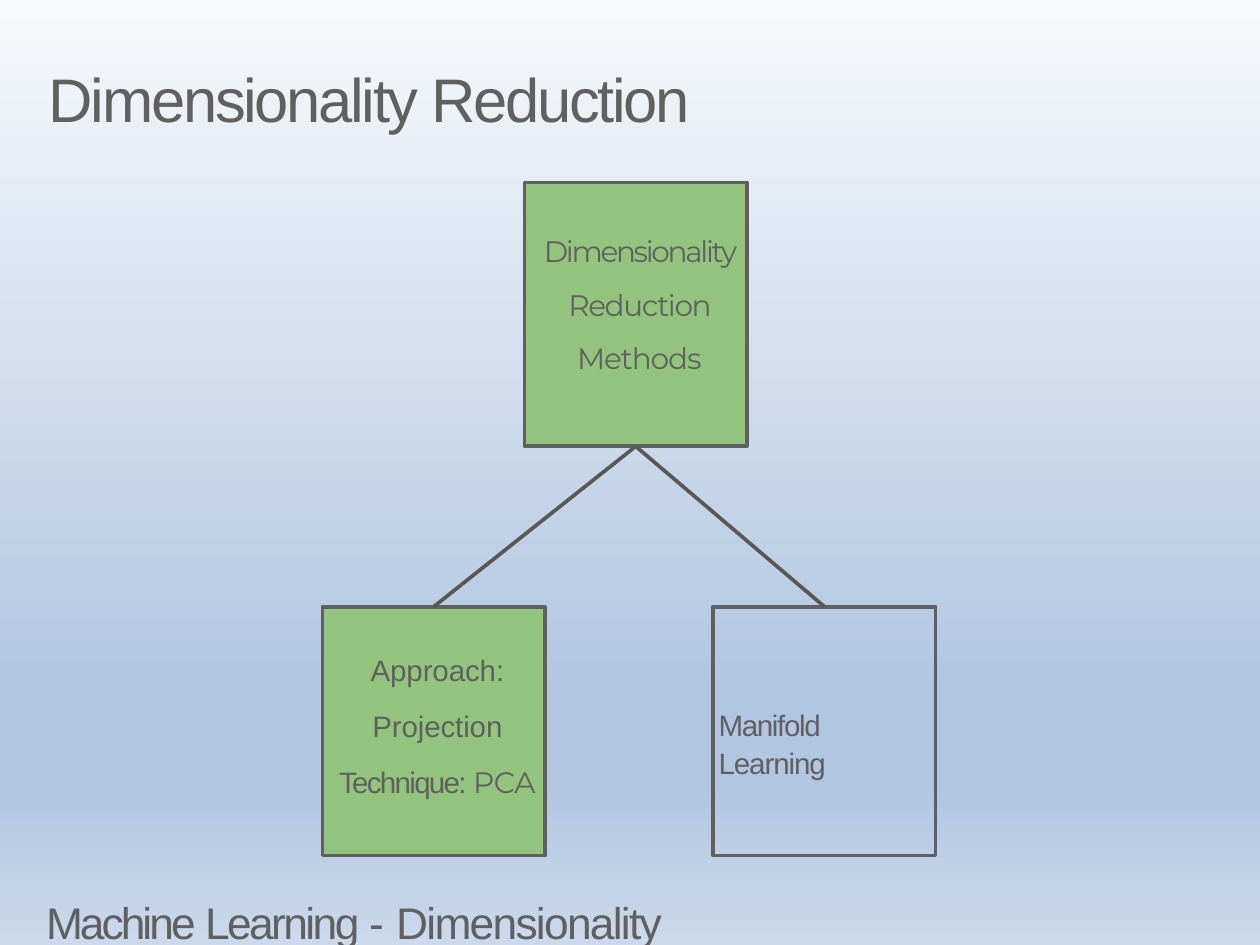
import copy

import lxml.etree
import pptx
import pptx.dml.color
import pptx.enum.shapes
import pptx.enum.text
import pptx.oxml.ns
import pptx.util

PX = 9144
COLORS = {"text": "606060", "node": "93C47D", "link": "5B5854"}
BACKGROUND_STOPS = [(0, "F6F9FC"), (0.74, "B0C6E1"), (0.83, "B0C6E1"), (1, "CAD9EB")]
ALIGN = pptx.enum.text.PP_ALIGN
NODE_WIDTH = 251


def rgb(value):
    """Return the color for a hex string."""
    return pptx.dml.color.RGBColor.from_string(value)


def set_values(target, values):
    """Set each named attribute of the target."""
    for name, value in values.items():
        setattr(target, name, value)


def place(shape, box):
    """Put a shape at a left, top, width, height box in px."""
    names = ("left", "top", "width", "height")
    set_values(shape, {name: length * PX for name, length in zip(names, box)})


def write_text(shape, lines, size, margins, align=ALIGN.LEFT, spacing=1.0):
    """Write lines of (text, letter spacing, font) runs into a shape."""
    frame = shape.text_frame
    set_values(frame, {
        "word_wrap": True,
        "auto_size": pptx.enum.text.MSO_AUTO_SIZE.NONE,
        "vertical_anchor": pptx.enum.text.MSO_ANCHOR.TOP,
        "margin_left": margins[0] * PX, "margin_top": margins[1] * PX,
        "margin_right": 0, "margin_bottom": 0,
    })
    for index, runs in enumerate(lines):
        paragraph = frame.add_paragraph() if index else frame.paragraphs[0]
        set_values(paragraph, {
            "alignment": align, "line_spacing": spacing,
            "space_before": pptx.util.Pt(0), "space_after": pptx.util.Pt(0),
        })
        for text, letter_spacing, font_name in runs:
            run = paragraph.add_run()
            run.text = text
            set_values(run.font, {"name": font_name, "size": pptx.util.Pt(size), "bold": False})
            run.font.color.rgb = rgb(COLORS["text"])
            run._r.get_or_add_rPr().set("spc", str(round(letter_spacing * 100)))


def paint_background(slide):
    """Fill the background with a gradient from top to bottom."""
    fill = slide.background.fill
    fill.gradient()
    fill.gradient_angle = 270
    stop_list = slide.element.find(".//" + pptx.oxml.ns.qn("a:gsLst"))
    while len(stop_list) < len(BACKGROUND_STOPS):
        stop_list.append(copy.deepcopy(stop_list[0]))
    for stop, (position, color) in zip(fill.gradient_stops, BACKGROUND_STOPS):
        stop.position = position
        stop.color.rgb = rgb(color)


def add_title(slide, box):
    """Place and format the title."""
    title = slide.shapes.title
    place(title, box)
    write_text(title, [[("Dimensionality Reduction", -1.9, "Arial")]], 50, (1, 8))


def add_footer(slide, box):
    """Add the course name at the bottom."""
    footer = slide.shapes.add_textbox(0, 0, 0, 0)
    place(footer, box)
    runs = [("Machine ", -2.4, "Arial"), ("Learning ", -2.1, "Arial"),
            ("- ", 0, "Arial"), ("Dimensionality", -1.4, "Arial")]
    write_text(footer, [runs], 36, (1, 9))


def add_node(slide, box, filled, lines, **text_format):
    """Add one box of the tree."""
    node = slide.shapes.add_shape(pptx.enum.shapes.MSO_SHAPE.RECTANGLE, 0, 0, 0, 0)
    place(node, box)
    node.shadow.inherit = False
    if filled:
        node.fill.solid()
        node.fill.fore_color.rgb = rgb(COLORS["node"])
    else:
        node.fill.background()
    node.line.color.rgb = rgb(COLORS["text"])
    node.line.width = pptx.util.Pt(3)
    write_text(node, lines, 24, **text_format)
    return node


def add_link(slide, parent, child):
    """Join the bottom of a parent to the top of its child."""
    link = slide.shapes.add_connector(pptx.enum.shapes.MSO_CONNECTOR.STRAIGHT, 0, 0, 0, 0)
    link.begin_connect(parent, 2)
    link.end_connect(child, 0)
    link.line.color.rgb = rgb(COLORS["link"])
    link.line.width = pptx.util.Pt(3)
    lxml.etree.SubElement(link._element.spPr, pptx.oxml.ns.qn("a:effectLst"))


def add_tree(slide, box):
    """Draw the methods box and its two branches."""
    left, top, width, height = box
    child_top, child_height = top + 479, height - 479
    root = add_node(
        slide, (left + 228, top, NODE_WIDTH, 298), True,
        [[("Dimensionality ", -1.9, "Montserrat"), ("Reduction ", -1.1, "Montserrat"),
          ("Methods", -0.9, "Montserrat")]],
        margins=(8, 37), align=ALIGN.CENTER, spacing=1.51)
    projection = add_node(
        slide, (left, child_top, NODE_WIDTH, child_height), True,
        [[("Approach: Projection ", -0.1, "Arial"), ("Technique: ", -1.4, "Arial"),
          ("PCA", -0.3, "Montserrat")]],
        margins=(8, 28), align=ALIGN.CENTER, spacing=1.58)
    manifold = add_node(
        slide, (left + width - NODE_WIDTH, child_top, NODE_WIDTH, child_height), False,
        [[("Manifold", -1.1, "Arial")], [("Learning", -0.9, "Arial")]],
        margins=(6, 111), spacing=1.06)
    for child in (projection, manifold):
        add_link(slide, root, child)


def main():
    """Build and save the slide."""
    presentation = pptx.Presentation()
    set_values(presentation, {"slide_width": 1422 * PX, "slide_height": 1067 * PX})
    slide = presentation.slides.add_slide(presentation.slide_layouts[5])
    paint_background(slide)
    add_title(slide, (54, 61, 1284, 86))
    add_tree(slide, (364, 206, 692, 760))
    add_footer(slide, (51, 1002, 920, 65))
    presentation.save("out.pptx")


if __name__ == "__main__":
    main()
